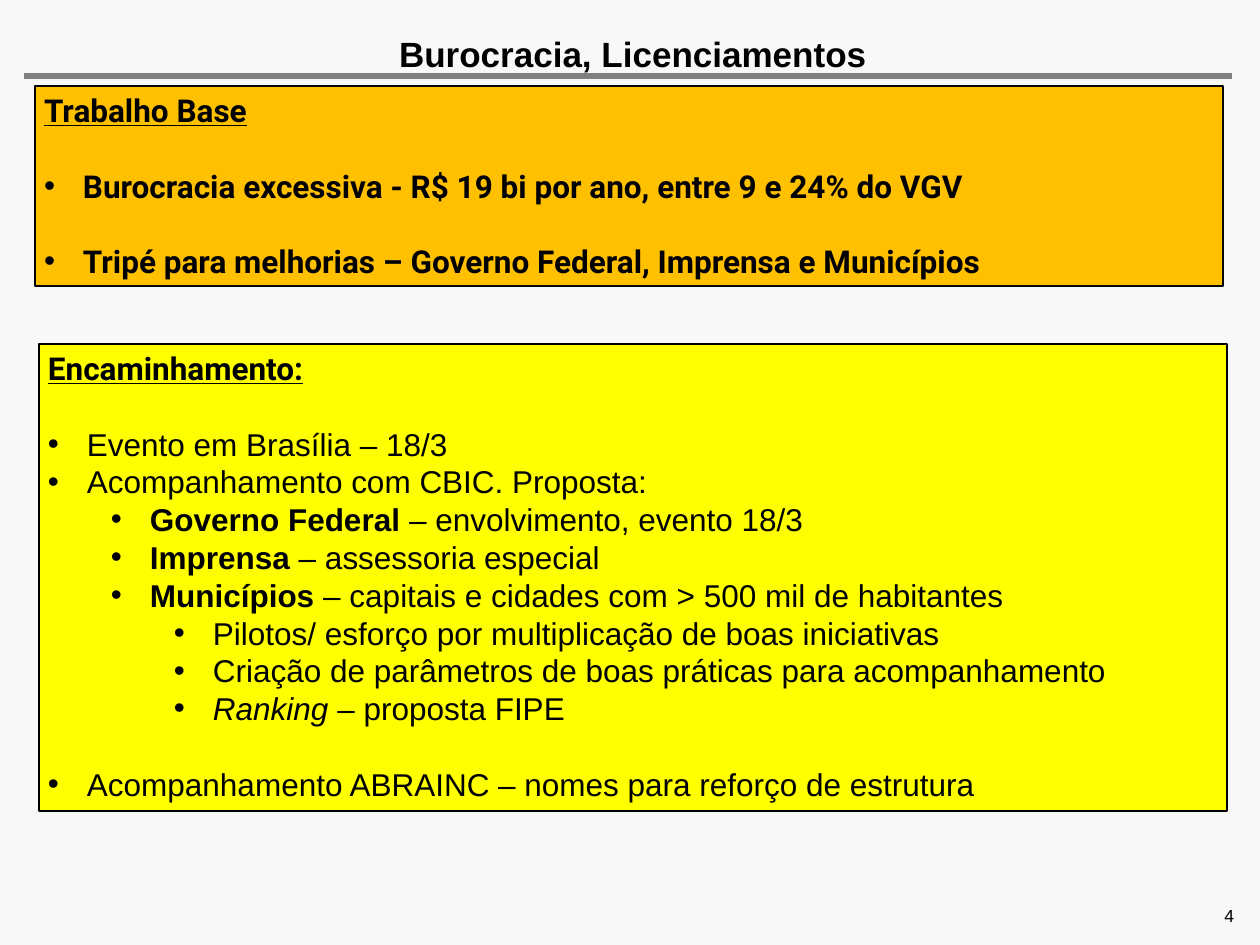
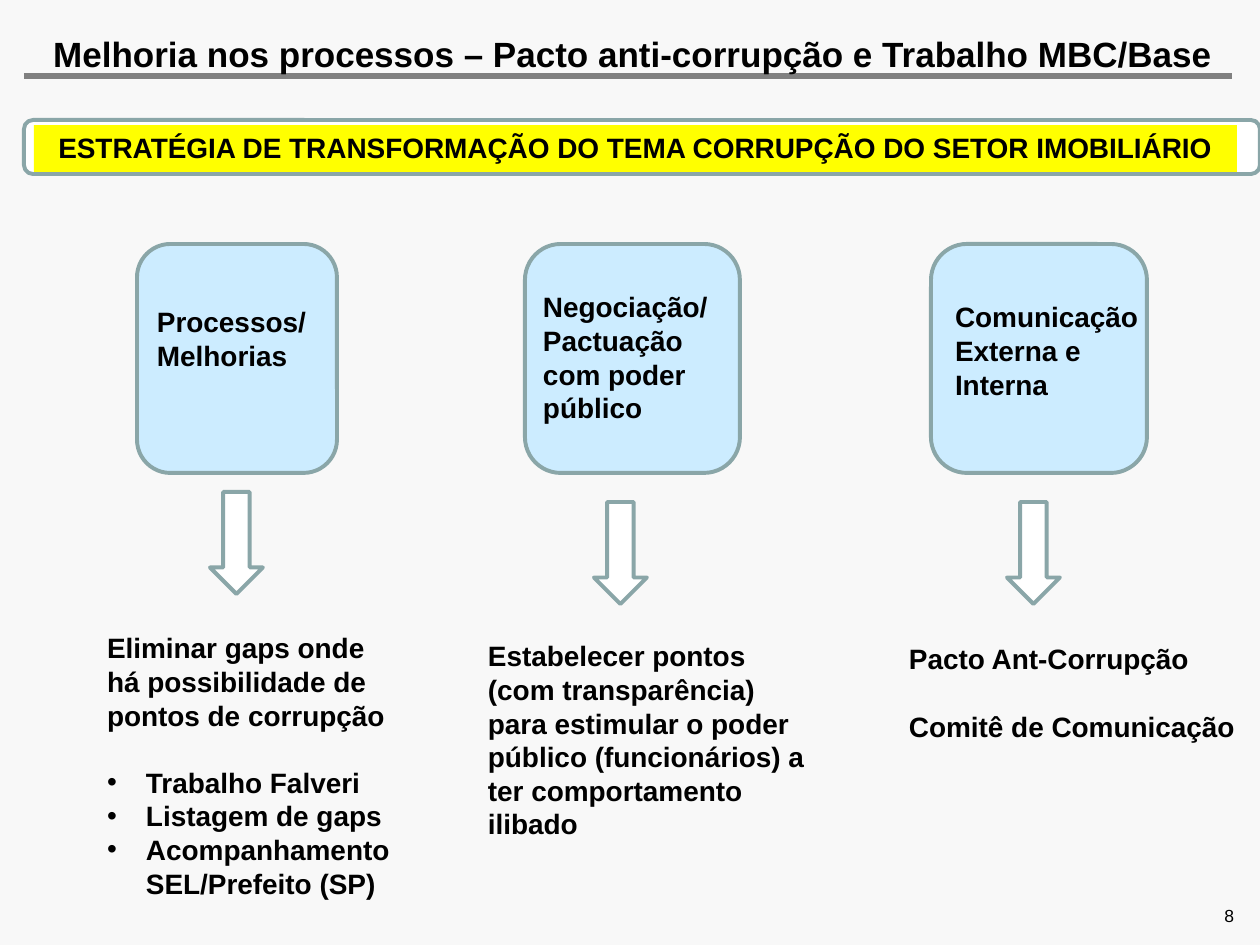
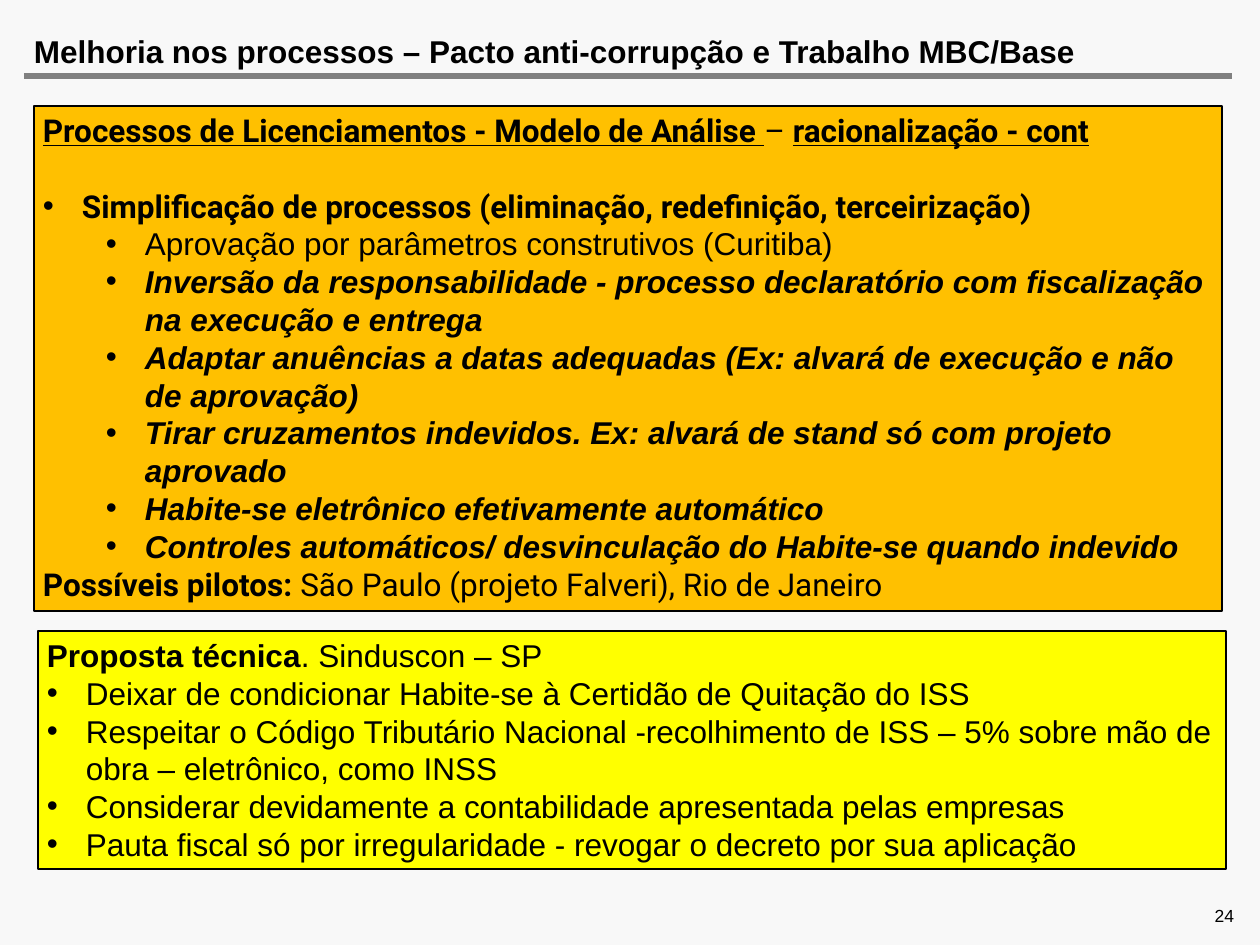
import pptx
import pptx.util
import pptx.dml.color
import pptx.enum.shapes
import pptx.enum.text
import pptx.oxml.ns
import lxml.etree

PX = 914400 / 126
FORM = pptx.enum.shapes.MSO_SHAPE
ALIGN = pptx.enum.text.PP_ALIGN
SIDE = pptx.enum.text.MSO_ANCHOR

THEME = {
    "back": "F8F8F8", "ink": "000000", "rule": "808080", "edge": "8AA6A8",
    "gold": "FFC000", "sun": "FFFF00", "sky": "CCECFF", "white": "FFFFFF",
    "title": 20, "body": 18, "small": 16, "page": 10,
    "main": "Arial", "alt": "Roboto",
}
PANEL = (9, 5, 9, 5)
PLAIN = (13, 6, 13, 6)
NONE = (0, 0, 0, 0)


def px(n):
    return pptx.util.Emu(round(n * PX))


def tint(name):
    return pptx.dml.color.RGBColor.from_string(THEME[name])


def block(slide, place, form=None, fill=None, line=None, width=0.75):
    where = [px(n) for n in place]
    if form is None:
        return slide.shapes.add_textbox(*where)
    shape = slide.shapes.add_shape(form, *where)
    shape.shadow.inherit = False
    shape.fill.solid()
    shape.fill.fore_color.rgb = tint(fill)
    if line:
        shape.line.color.rgb = tint(line)
        shape.line.width = pptx.util.Pt(width)
    else:
        shape.line.fill.background()
    return shape


def write(shape, paras, size, pads=PLAIN, align=ALIGN.LEFT, side=SIDE.TOP):
    frame = shape.text_frame
    frame.word_wrap = True
    frame.vertical_anchor = side
    for edge, pad in zip(("left", "top", "right", "bottom"), pads):
        setattr(frame, "margin_" + edge, px(pad))
    pitch = THEME[size] * 1.2
    for i, (level, gap, *runs) in enumerate(paras):
        para = frame.add_paragraph() if i else frame.paragraphs[0]
        if level:
            props = para._p.get_or_add_pPr()
            props.set("marL", str(px(39 + 63 * (level - 1))))
            props.set("indent", str(px(-39)))
            for tag, key, value in (("a:buFont", "typeface", THEME["main"]), ("a:buChar", "char", "•")):
                lxml.etree.SubElement(props, pptx.oxml.ns.qn(tag)).set(key, value)
        looks = {"alignment": align, "line_spacing": pptx.util.Pt(pitch),
                 "space_before": pptx.util.Pt(gap * pitch)}
        for key, value in looks.items():
            setattr(para, key, value)
        for text, style in runs:
            run = para.add_run()
            run.text = text
            looks = {"name": THEME["alt" if "r" in style else "main"],
                     "size": pptx.util.Pt(THEME[size]), "bold": "b" in style,
                     "italic": "i" in style, "underline": "u" in style}
            for key, value in looks.items():
                setattr(run.font, key, value)
            run.font.color.rgb = tint("ink")


deck = pptx.Presentation()
deck.slide_width, deck.slide_height = px(1260), px(945)

PACT = "Melhoria nos processos – Pacto anti-corrupção e Trabalho MBC/Base"
heads = [
    ("Burocracia, Licenciamentos", "title", ALIGN.CENTER, "4"),
    (PACT, "title", ALIGN.CENTER, "8"),
    (PACT, "body", ALIGN.LEFT, "24"),
]
slides = []
for title, size, align, page in heads:
    slide = deck.slides.add_slide(deck.slide_layouts[6])
    slide.background.fill.solid()
    slide.background.fill.fore_color.rgb = tint("back")
    rule = slide.shapes.add_connector(
        pptx.enum.shapes.MSO_CONNECTOR.STRAIGHT, px(24), px(76), px(1232), px(76))
    rule.line.color.rgb = tint("rule")
    rule.line.width = pptx.util.Pt(3.2)
    lxml.etree.SubElement(rule._element.spPr, pptx.oxml.ns.qn("a:effectLst"))
    write(block(slide, (34, 32, 1198, 44)), [(0, 0, (title, "b"))], size, NONE, align)
    write(block(slide, (939, 905, 295, 21)), [(0, 0, (page, ""))], "page", NONE, ALIGN.RIGHT, SIDE.BOTTOM)
    slides.append(slide)

first, second, third = slides

panels = [
    (first, (35, 86, 1188, 200), "gold", [
        (0, 0, ("Trabalho Base", "rbu")),
        (1, 1, ("Burocracia excessiva - R$ 19 bi por ano, entre 9 e 24% do VGV", "rb")),
        (1, 1, ("Tripé para melhorias – Governo Federal, Imprensa e Municípios", "rb")),
    ]),
    (first, (39, 344, 1188, 467), "sun", [
        (0, 0, ("Encaminhamento:", "rbu")),
        (1, 1, ("Evento em Brasília – 18/3", "")),
        (1, 0, ("Acompanhamento com CBIC. Proposta:", "")),
        (2, 0, ("Governo Federal ", "b"), ("– envolvimento, evento 18/3", "")),
        (2, 0, ("Imprensa", "b"), (" – assessoria especial", "")),
        (2, 0, ("Municípios ", "b"), ("– capitais e cidades com > 500 mil de habitantes", "")),
        (3, 0, ("Pilotos/ esforço por multiplicação de boas iniciativas", "")),
        (3, 0, ("Criação de parâmetros de boas práticas para acompanhamento", "")),
        (3, 0, ("Ranking ", "i"), ("– proposta FIPE", "")),
        (1, 1, ("Acompanhamento ABRAINC – nomes para reforço de estrutura", "")),
    ]),
    (third, (34, 106, 1188, 505), "gold", [
        (0, 0, ("Processos de Licenciamentos - Modelo de Análise ", "rbu"), ("– ", "r"),
         ("racionalização - cont", "rbu")),
        (1, 1, ("Simplificação de processos (eliminação, redefinição, terceirização)", "rb")),
        (2, 0, ("Aprovação por parâmetros construtivos (Curitiba)", "")),
        (2, 0, ("Inversão da responsabilidade - processo declaratório com fiscalização na execução e entrega", "bi")),
        (2, 0, ("Adaptar anuências a datas adequadas (Ex: alvará de execução e não de aprovação)", "bi")),
        (2, 0, ("Tirar cruzamentos indevidos. Ex: alvará de stand só com projeto aprovado", "bi")),
        (2, 0, ("Habite-se eletrônico efetivamente automático", "bi")),
        (2, 0, ("Controles automáticos/ desvinculação do Habite-se quando indevido", "bi")),
        (0, 0, ("Possíveis pilotos: ", "rb"), ("São Paulo (projeto Falveri), Rio de Janeiro", "r")),
    ]),
    (third, (38, 631, 1188, 238), "sun", [
        (0, 0, ("Proposta técnica", "b"), (". Sinduscon – SP", "")),
        (1, 0, ("Deixar de condicionar Habite-se à Certidão de Quitação do ISS", "")),
        (1, 0, ("Respeitar o Código Tributário Nacional -recolhimento de ISS – 5% sobre mão de obra"
                " – eletrônico, como INSS", "")),
        (1, 0, ("Considerar devidamente a contabilidade apresentada pelas empresas", "")),
        (1, 0, ("Pauta fiscal só por irregularidade - revogar o decreto por sua aplicação", "")),
    ]),
]
for slide, place, fill, paras in panels:
    write(block(slide, place, FORM.RECTANGLE, fill, "ink"), paras, "body", PANEL)

block(second, (24, 120, 1236, 54), FORM.ROUNDED_RECTANGLE, "white", "edge", 2.25)
band = block(second, (34, 125, 1203, 47), FORM.RECTANGLE, "sun")
write(band, [(0, 0, ("ESTRATÉGIA DE TRANSFORMAÇÃO DO TEMA CORRUPÇÃO DO SETOR IMOBILIÁRIO", "b"))],
      "small", PLAIN, ALIGN.CENTER)

tracks = [
    ((137, 200), (144, 299, 204, 81), "Processos/ Melhorias", (210, 492), (94, 625, 323, 285), [
        (0, 0, ("Eliminar gaps onde há possibilidade de pontos de corrupção", "b")),
        (1, 1, ("Trabalho Falveri", "b")),
        (1, 0, ("Listagem de gaps", "b")),
        (1, 0, ("Acompanhamento SEL/Prefeito (SP)", "b")),
    ]),
    ((525, 215), (530, 284, 198, 149), "Negociação/ Pactuação com poder público",
     (594, 502), (475, 633, 352, 217), [
        (0, 0, ("Estabelecer pontos (com transparência) para estimular o poder público"
                " (funcionários) a ter comportamento ilibado", "b")),
    ]),
    ((931, 216), (942, 294, 211, 115), "Comunicação Externa e Interna",
     (1007, 502), (896, 636, 353, 115), [
        (0, 0, ("Pacto Ant-Corrupção", "b")),
        (0, 1, ("Comitê de Comunicação", "b")),
    ]),
]
for (left, wide), label, name, arrow, note, paras in tracks:
    block(second, (left, 244, wide, 229), FORM.ROUNDED_RECTANGLE, "sky", "edge", 2.25)
    write(block(second, label), [(0, 0, (name, "b"))], "small")
    block(second, (*arrow, 53, 102), FORM.DOWN_ARROW, "white", "edge", 2.25)
    write(block(second, note), paras, "small")

deck.save("out.pptx")
